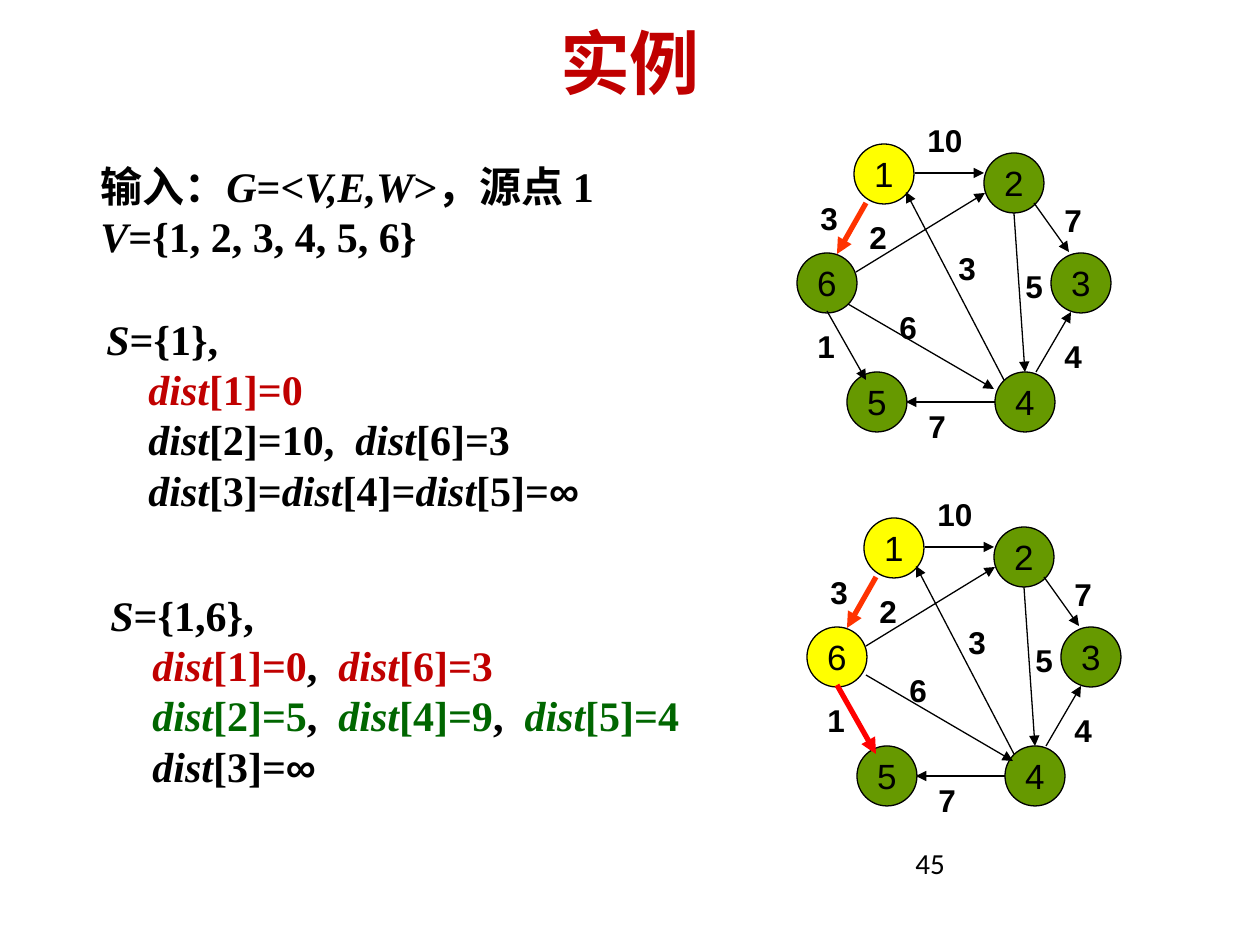
from dataclasses import dataclass

from lxml import etree
from pptx import Presentation
from pptx.dml.color import RGBColor
from pptx.enum.shapes import MSO_CONNECTOR, MSO_SHAPE
from pptx.enum.text import MSO_ANCHOR, PP_ALIGN
from pptx.oxml.ns import qn
from pptx.util import Emu, Pt

STRAIGHT, OVAL = MSO_CONNECTOR.STRAIGHT, MSO_SHAPE.OVAL
TOP, MIDDLE = MSO_ANCHOR.TOP, MSO_ANCHOR.MIDDLE
LEFT, CENTER = PP_ALIGN.LEFT, PP_ALIGN.CENTER
PX = 914400 / 126


@dataclass
class Theme:
    ink: str = "000000"
    red: str = "C00000"
    green: str = "006600"
    reached: str = "FFFF00"
    waiting: str = "669900"
    first_step: str = "FF3300"
    second_step: str = "FF0000"
    title: float = 40
    body: float = 24
    node: float = 20
    weight: float = 18
    number: float = 16.6
    thin: float = 0.75
    thick: float = 3


T = Theme()


def px(*lengths):
    return [Emu(round(n * PX)) for n in lengths]


def add_run(p, text, size, color=T.ink, name="Arial", **flags):
    r = p.add_run()
    r.text = text
    r.font.color.rgb = RGBColor.from_string(color)
    for key, value in {"size": Pt(size), "name": name, **flags}.items():
        setattr(r.font, key, value)


prs = Presentation()
prs.slide_width, prs.slide_height = px(1260, 945)
s = prs.slides.add_slide(prs.slide_layouts[5])

title = s.shapes.title
title.left, title.top, title.width, title.height = px(63, 18, 1134, 87)
title.text_frame.vertical_anchor = MIDDLE
p = title.text_frame.paragraphs[0]
p.alignment = CENTER
add_run(p, "实例", T.title, T.red, "Calibri", bold=True)

# Text between underscores is italic; each line is (indent, coloured parts).
INDENT = 42
BLOCKS = [
    ((88, 154, 659, 113), [
        (0, [("输入：_G_=<_V,E,W_>，源点 1", T.ink)]),
        (0, [("_V_={1, 2, 3, 4, 5, 6}", T.ink)]),
    ]),
    ((94, 307, 566, 265), [
        (0, [("_S_={1},", T.ink)]),
        (INDENT, [("_dist_[1]=0", T.red)]),
        (INDENT, [("_dist_[2]=10,  _dist_[6]=3", T.ink)]),
        (INDENT, [("_dist_[3]=_dist_[4]=_dist_[5]=", T.ink), ("∞", T.ink)]),
    ]),
    ((98, 583, 630, 214), [
        (0, [("_S_={1,6},", T.ink)]),
        (INDENT, [("_dist_[1]=0", T.red), (",  ", T.ink), ("_dist_[6]=3", T.red)]),
        (INDENT, [("_dist_[2]=5", T.green), (",  ", T.ink), ("_dist_[4]=9", T.green),
                  (",  ", T.ink), ("_dist_[5]=4", T.green)]),
        (INDENT, [("_dist_[3]=", T.ink), ("∞", T.ink)]),
    ]),
]
for box, lines in BLOCKS:
    tf = s.shapes.add_textbox(*px(*box)).text_frame
    tf.word_wrap = True
    for i, (indent, parts) in enumerate(lines):
        p = tf.add_paragraph() if i else tf.paragraphs[0]
        p.alignment = LEFT
        if indent:
            p._p.get_or_add_pPr().set("marL", str(px(indent)[0]))
        for text, color in parts:
            name = "Arial" if text == "∞" else "Times New Roman"
            for j, piece in enumerate(text.split("_")):
                if piece:
                    add_run(p, piece, T.body, color, name, bold=True, italic=j % 2 == 1)

# Both graphs share one geometry, given at the place of the first.
DIAMETER = 60
NODES = {1: (854, 144), 2: (984, 153), 3: (1051, 253),
         4: (995, 372), 5: (847, 372), 6: (797, 253)}
EDGES = {
    (1, 2): (915, 173, 984, 173),
    (1, 6): (866, 203, 837, 254),
    (2, 3): (1034, 203, 1069, 252),
    (2, 4): (1014, 213, 1025, 372),
    (4, 1): (1004, 380, 906, 192),
    (4, 3): (1036, 372, 1071, 312),
    (4, 5): (995, 402, 906, 402),
    (6, 2): (856, 272, 985, 193),
    (6, 4): (848, 304, 994, 389),
    (6, 5): (827, 311, 866, 380),
}
WEIGHTS = {
    (1, 2): ("10", 915, 115), (1, 6): ("3", 808, 193),
    (2, 3): ("7", 1052, 195), (2, 4): ("5", 1013, 261),
    (4, 1): ("3", 946, 243), (4, 3): ("4", 1052, 331),
    (4, 5): ("7", 916, 401), (6, 2): ("2", 857, 212),
    (6, 4): ("6", 887, 302), (6, 5): ("1", 805, 321),
}
GRAPHS = [
    {"dx": 0, "dy": 0, "reached": {1}, "steps": {(1, 6): T.first_step},
     "edges": EDGES, "weights": WEIGHTS},
    {"dx": 10, "dy": 374, "reached": {1, 6},
     "steps": {(1, 6): T.first_step, (6, 5): T.second_step},
     "edges": {**EDGES, (6, 4): (856, 301, 1003, 387)},
     "weights": {**WEIGHTS, (6, 4): ("6", 887, 291)}},
]
for graph in GRAPHS:
    dx, dy = graph["dx"], graph["dy"]

    for node, (x, y) in NODES.items():
        sp = s.shapes.add_shape(OVAL, *px(x + dx, y + dy, DIAMETER, DIAMETER))
        sp.shadow.inherit = False
        sp.fill.solid()
        sp.fill.fore_color.rgb = RGBColor.from_string(
            T.reached if node in graph["reached"] else T.waiting)
        sp.line.color.rgb = RGBColor.from_string(T.ink)
        sp.line.width = Pt(T.thin)
        tf = sp.text_frame
        tf.word_wrap = False
        tf.vertical_anchor = MIDDLE
        p = tf.paragraphs[0]
        p.alignment = CENTER
        add_run(p, str(node), T.node)

    for edge, (x1, y1, x2, y2) in graph["edges"].items():
        step = graph["steps"].get(edge)
        line = s.shapes.add_connector(STRAIGHT, *px(x1 + dx, y1 + dy, x2 + dx, y2 + dy))
        line.line.color.rgb = RGBColor.from_string(step or T.ink)
        line.line.width = Pt(T.thick if step else T.thin)
        etree.SubElement(line.line._get_or_add_ln(), qn("a:tailEnd"), type="triangle")
        etree.SubElement(line._element.spPr, qn("a:effectLst"))

    for text, x, y in graph["weights"].values():
        tf = s.shapes.add_textbox(*px(x + dx, y + dy, 69, 50)).text_frame
        tf.word_wrap = True
        add_run(tf.paragraphs[0], text, T.weight, bold=True)

tf = s.shapes.add_textbox(*px(903, 843, 294, 50)).text_frame
tf.word_wrap = True
tf.vertical_anchor = TOP
p = tf.paragraphs[0]
p.line_spacing = 0.9
add_run(p, "45", T.number, name="Calibri")

prs.save("out.pptx")
